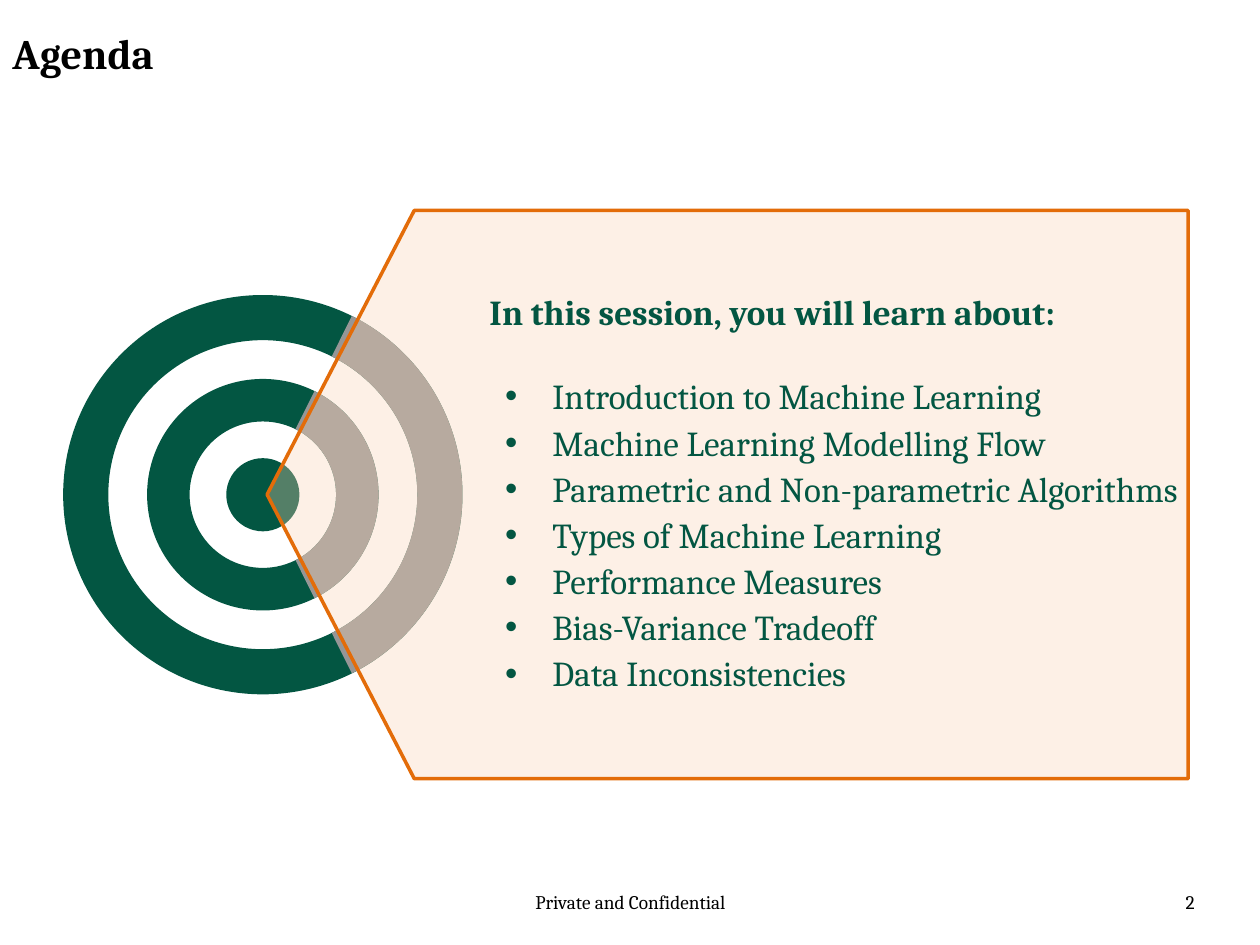
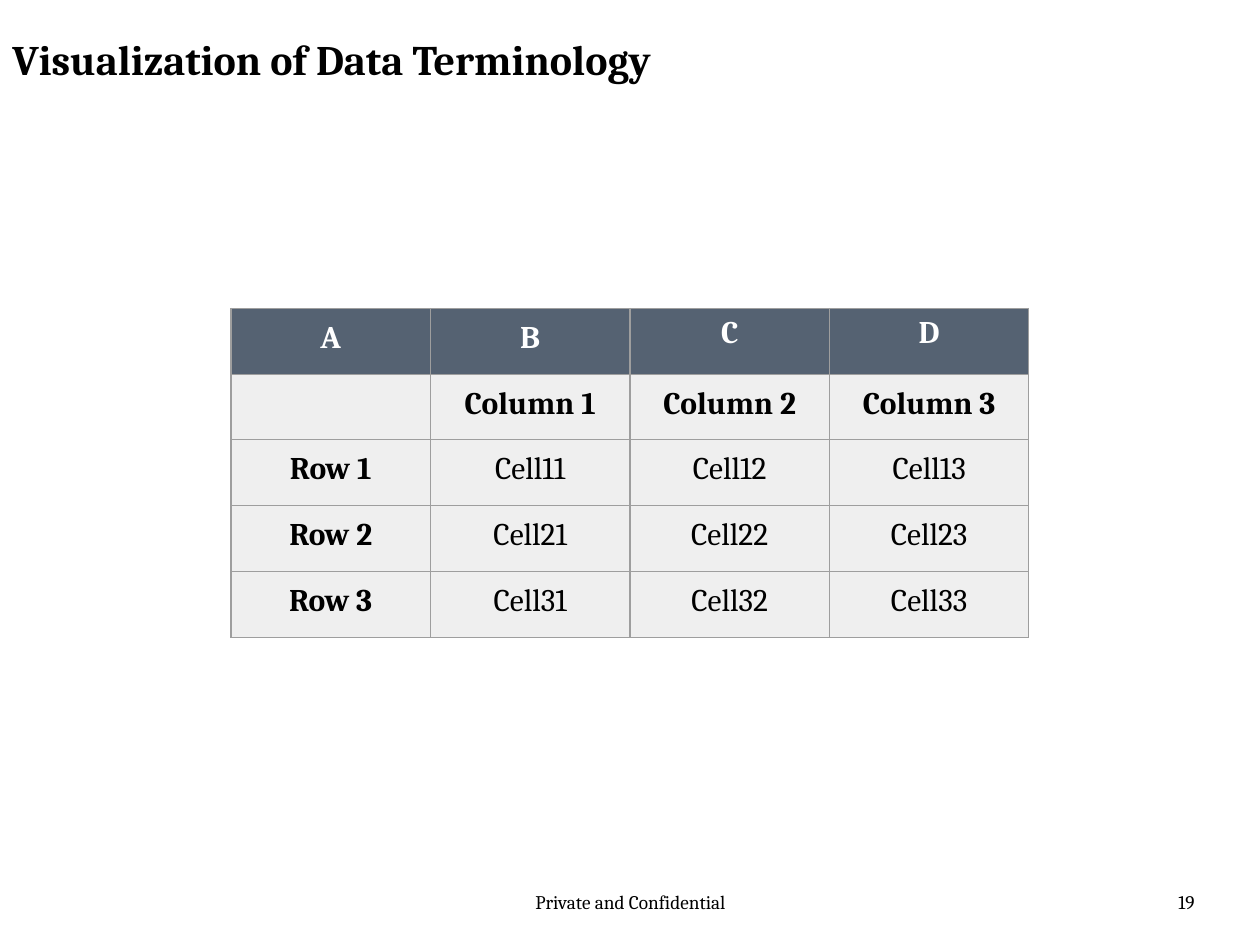
from dataclasses import dataclass

from lxml import etree
from pptx import Presentation
from pptx.dml.color import RGBColor
from pptx.enum.shapes import MSO_SHAPE as Preset
from pptx.enum.text import MSO_ANCHOR as Anchor, PP_ALIGN as Align
from pptx.oxml.ns import qn
from pptx.util import Pt

FONT = "Cambria"
BLACK = RGBColor(0x00, 0x00, 0x00)
WHITE = RGBColor(0xFF, 0xFF, 0xFF)
GREEN = RGBColor(0x03, 0x56, 0x42)
GREY = RGBColor(0x96, 0x96, 0x96)
PEACH = RGBColor(0xFB, 0xD4, 0xB4)
ORANGE = RGBColor(0xE3, 0x6C, 0x09)
SLATE = RGBColor(0x55, 0x62, 0x72)
PALE = RGBColor(0xEF, 0xEF, 0xEF)
BORDER = RGBColor(0x9E, 0x9E, 0x9E)

TARGET_X, TARGET_Y = 150.2, 282.7
WEDGE_ANGLE = 63.5
ANGLE_UNIT = 0.6

TOPICS = [
    "Introduction to Machine Learning",
    "Machine Learning Modelling Flow",
    "Parametric and Non-parametric Algorithms",
    "Types of Machine Learning",
    "Performance Measures",
    "Bias-Variance Tradeoff",
    "Data Inconsistencies",
]


@dataclass(frozen=True)
class Box:
    left: float
    top: float
    width: float
    height: float

    def lengths(self) -> tuple:
        return Pt(self.left), Pt(self.top), Pt(self.width), Pt(self.height)


@dataclass(frozen=True)
class Ring:
    diameter: float
    thickness: float


RINGS = [Ring(132.3, 24.3), Ring(228.2, 25.8)]
BULLSEYE = 41.8
FOOTER_BOX = Box(246.24, 505.4, 228.24, 28.8)
NUMBER_BOX = Box(522, 505.4, 167.76, 28.8)
PANEL_BOX = Box(152.64, 120.24, 526.32, 324.72)
TABLE_BOX = Box(132, 176.2, 456, 188)


def write(para, text: str, *, size: float, color=BLACK, bold=False,
          align=Align.LEFT, spacing=1.0, after=0) -> None:
    para.alignment = align
    para.line_spacing = spacing
    para.space_after = Pt(after)
    span = para.add_run()
    span.text = text
    span.font.name = FONT
    span.font.size = Pt(size)
    span.font.bold = bold
    span.font.color.rgb = color


def add_text(page, box: Box, text: str, **style) -> None:
    frame = page.shapes.add_textbox(*box.lengths()).text_frame
    frame.word_wrap = True
    write(frame.paragraphs[0], text, **style)


def add_filled(page, preset, box: Box, color: RGBColor):
    shape = page.shapes.add_shape(preset, *box.lengths())
    shape.shadow.inherit = False
    shape.fill.solid()
    shape.fill.fore_color.rgb = color
    shape.line.fill.background()
    return shape


def target_box(diameter: float) -> Box:
    radius = diameter / 2
    return Box(TARGET_X - radius, TARGET_Y - radius, diameter, diameter)


def add_target(page) -> None:
    add_filled(page, Preset.OVAL, target_box(BULLSEYE), GREEN)
    for ring in RINGS:
        box = target_box(ring.diameter)
        share = ring.thickness / ring.diameter
        donut = add_filled(page, Preset.DONUT, box, GREEN)
        donut.adjustments[0] = share
        wedge = add_filled(page, Preset.BLOCK_ARC, box, GREY)
        wedge.adjustments[0] = (360 - WEDGE_ANGLE) * ANGLE_UNIT
        wedge.adjustments[1] = WEDGE_ANGLE * ANGLE_UNIT
        wedge.adjustments[2] = share


def add_bullet(para, color: RGBColor) -> None:
    properties = para._p.get_or_add_pPr()
    properties.set("marL", str(Pt(36)))
    properties.set("indent", str(Pt(-27)))
    bullet_color = etree.SubElement(properties, qn("a:buClr"))
    etree.SubElement(bullet_color, qn("a:srgbClr"), val=str(color))
    etree.SubElement(properties, qn("a:buFont"), typeface="Arial")
    etree.SubElement(properties, qn("a:buChar"), char="•")


def add_topic_panel(page) -> None:
    panel = add_filled(page, Preset.PENTAGON, PANEL_BOX, PEACH)
    panel.adjustments[0] = 0.259
    panel.line.color.rgb = ORANGE
    panel.line.width = Pt(2)
    properties = panel.element.spPr
    properties.find(qn("a:xfrm")).set("flipH", "1")
    tint = properties.find(qn("a:solidFill")).find(qn("a:srgbClr"))
    etree.SubElement(tint, qn("a:alpha"), val="33000")

    frame = panel.text_frame
    frame.word_wrap = True
    frame.vertical_anchor = Anchor.MIDDLE
    frame.margin_left, frame.margin_right = Pt(85), Pt(5)
    frame.margin_top = frame.margin_bottom = Pt(0)
    write(frame.paragraphs[0], "In this session, you will learn about:", size=20,
          color=GREEN, bold=True, spacing=0.9, after=21.6)
    for topic in TOPICS:
        para = frame.add_paragraph()
        write(para, topic, size=20, color=GREEN, spacing=1.1)
        add_bullet(para, GREEN)


def add_borders(cell) -> None:
    properties = cell._tc.get_or_add_tcPr()
    for side in ("lnL", "lnR", "lnT", "lnB"):
        line = etree.SubElement(properties, qn(f"a:{side}"), w=str(Pt(0.75)))
        fill = etree.SubElement(line, qn("a:solidFill"))
        etree.SubElement(fill, qn("a:srgbClr"), val=str(BORDER))


def add_terminology_table(page) -> None:
    numbers = range(1, 4)
    rows = [list("ABCD"), ["", *(f"Column {n}" for n in numbers)]]
    rows += [[f"Row {r}", *(f"Cell{r}{c}" for c in numbers)] for r in numbers]
    table = page.shapes.add_table(len(rows), len(rows[0]), *TABLE_BOX.lengths()).table
    for column in table.columns:
        column.width = Pt(TABLE_BOX.width / len(rows[0]))
    for row_index, row in enumerate(rows):
        table.rows[row_index].height = Pt(TABLE_BOX.height / len(rows))
        for column_index, text in enumerate(row):
            cell = table.cell(row_index, column_index)
            header = row_index == 0
            add_borders(cell)
            cell.fill.solid()
            cell.fill.fore_color.rgb = SLATE if header else PALE
            if text:
                write(cell.text_frame.paragraphs[0], text, size=18,
                      color=WHITE if header else BLACK,
                      bold=row_index < 2 or column_index == 0,
                      align=Align.CENTER,
                      spacing=1.0 if header and column_index > 1 else 1.15)


def add_page(deck, title: str, title_top: float, number: int):
    page = deck.slides.add_slide(deck.slide_layouts[6])
    add_text(page, FOOTER_BOX, "Private and Confidential", size=11, align=Align.CENTER)
    add_text(page, NUMBER_BOX, str(number), size=11, align=Align.RIGHT)
    add_text(page, Box(0, title_top, 546.48, 44.64), title, size=24, bold=True)
    return page


def main() -> None:
    deck = Presentation()
    deck.slide_width, deck.slide_height = Pt(720), Pt(540)
    agenda = add_page(deck, "Agenda", 12.24, 2)
    add_target(agenda)
    add_topic_panel(agenda)
    terminology = add_page(deck, "Visualization of Data Terminology", 15.84, 19)
    add_terminology_table(terminology)
    deck.save("out.pptx")


if __name__ == "__main__":
    main()
